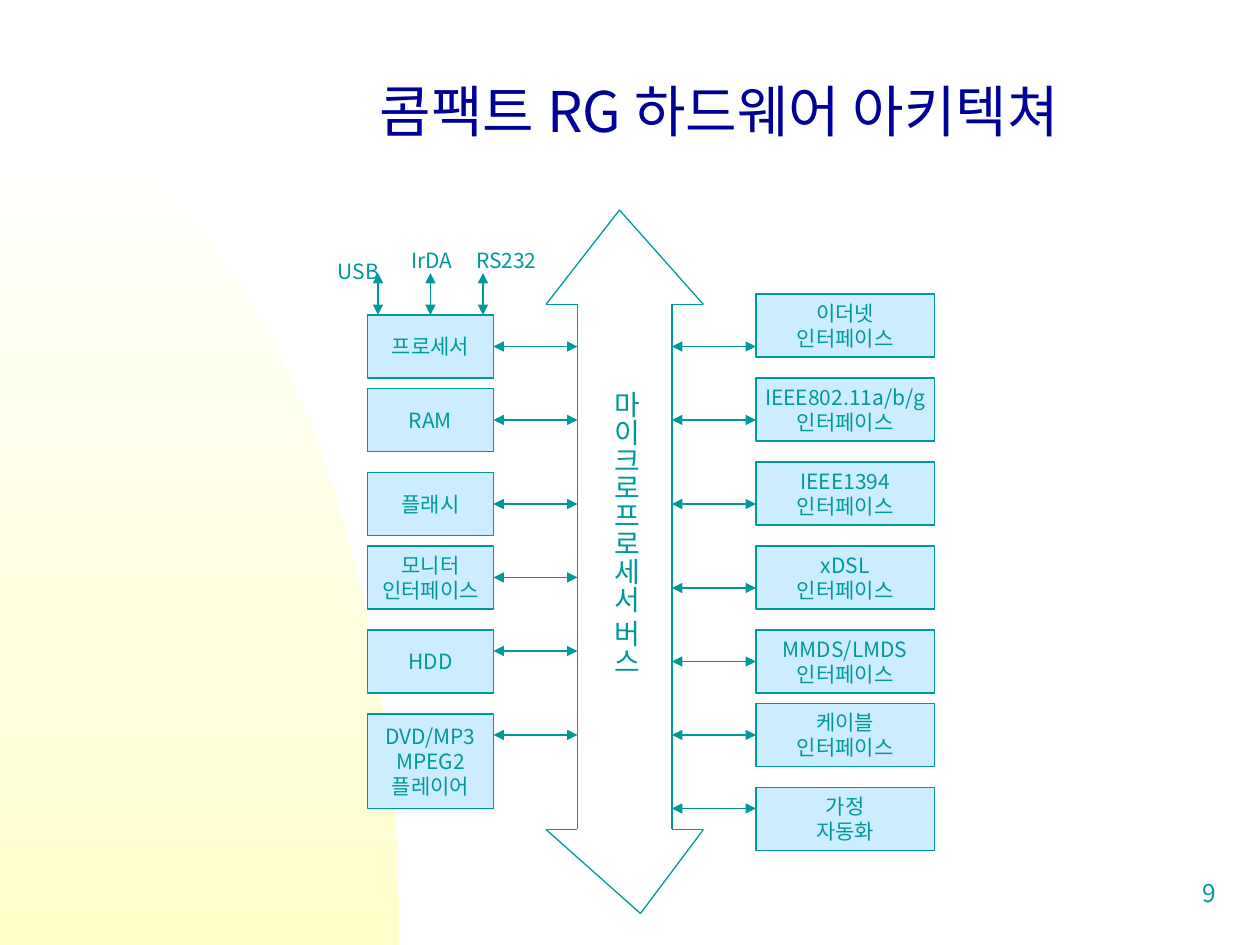
"""Build the slide on the hardware architecture of a compact residential gateway."""
from lxml import etree
from pptx import Presentation
from pptx.dml.color import RGBColor
from pptx.enum.shapes import MSO_CONNECTOR, MSO_SHAPE
from pptx.enum.text import MSO_ANCHOR, PP_ALIGN
from pptx.oxml.ns import qn
from pptx.util import Pt

STRAIGHT, RECTANGLE = MSO_CONNECTOR.STRAIGHT, MSO_SHAPE.RECTANGLE
TOP, MIDDLE = MSO_ANCHOR.TOP, MSO_ANCHOR.MIDDLE
LEFT, CENTER, RIGHT = PP_ALIGN.LEFT, PP_ALIGN.CENTER, PP_ALIGN.RIGHT

TEAL = RGBColor(0x00, 0x99, 0x99)
NAVY = RGBColor(0x00, 0x00, 0x99)
PALE_BLUE = RGBColor(0xCC, 0xEC, 0xFF)
PALE_YELLOW = RGBColor(0xFF, 0xFF, 0xCC)
WHITE = RGBColor(0xFF, 0xFF, 0xFF)
FONT = "Noto Sans CJK KR"

# text, top, height, arrow height
DEVICES = [
    ("프로세서", 180, 36, 198),
    ("RAM", 222, 36, 240),
    ("플래시", 270, 36, 288),
    ("모니터\n인터페이스", 312, 36, 330),
    ("HDD", 360, 36, 372),
    ("DVD/MP3\nMPEG2\n플레이어", 408, 54, 420),
]
INTERFACES = [
    ("이더넷\n인터페이스", 168, 36, 198),
    ("IEEE802.11a/b/g\n인터페이스", 216, 36, 240),
    ("IEEE1394\n인터페이스", 264, 36, 288),
    ("xDSL\n인터페이스", 312, 36, 336),
    ("MMDS/LMDS\n인터페이스", 360, 36, 378),
    ("케이블\n인터페이스", 402, 36, 420),
    ("가정\n자동화", 450, 36, 462),
]
# text, left, top, width, arrow position
PORTS = [("USB", 186, 144, 42, 216), ("IrDA", 228, 138, 42, 246), ("RS232", 265, 138, 52, 276)]
BUS_LEFT, BUS_RIGHT = 330, 384
BUS_OUTLINE = [
    (BUS_LEFT, 174), (312, 174), (354, 120), (402, 174), (BUS_RIGHT, 174),
    (BUS_RIGHT, 474), (402, 474), (366, 522), (312, 474), (BUS_LEFT, 474),
]
DEVICE_LEFT, DEVICE_WIDTH = 210, 72
INTERFACE_LEFT, INTERFACE_WIDTH = 432, 102
HILL = [(0, 66), (126, 66), (228, 279), (228, 540)]
HILL_STEPS = 60


def write(shape, text, size, color=TEAL, align=LEFT, anchor=TOP, wrap=True):
    frame = shape.text_frame
    frame.text = text
    frame.word_wrap = wrap
    frame.vertical_anchor = anchor
    for paragraph in frame.paragraphs:
        paragraph.alignment = align
        font = paragraph.font
        font.name, font.size, font.color.rgb = FONT, Pt(size), color
        defaults = paragraph._p.pPr.find(qn("a:defRPr"))
        etree.SubElement(defaults, qn("a:ea"), typeface=FONT)


def add_label(shapes, text, place, size, **style):
    label = shapes.add_textbox(*map(Pt, place))
    write(label, text, size, **style)
    return label


def add_box(shapes, text, *place):
    box = shapes.add_shape(RECTANGLE, *map(Pt, place))
    box.shadow.inherit = False
    box.fill.solid()
    box.fill.fore_color.rgb = PALE_BLUE
    box.line.color.rgb = TEAL
    box.line.width = Pt(0.75)
    write(box, text, 12, align=CENTER, anchor=MIDDLE, wrap=False)
    return box


def add_line(shapes, start, end, arrows=False):
    line = shapes.add_connector(STRAIGHT, *map(Pt, (*start, *end)))
    line.line.color.rgb = TEAL
    line.line.width = Pt(0.75)
    if arrows:
        outline = line.line._get_or_add_ln()
        for tip in ("a:headEnd", "a:tailEnd"):
            etree.SubElement(outline, qn(tip), type="triangle")
    etree.SubElement(line._element.spPr, qn("a:effectLst"))
    return line


def curve_point(t):
    weights = ((1 - t) ** 3, 3 * t * (1 - t) ** 2, 3 * t * t * (1 - t), t ** 3)
    return tuple(sum(w * p[axis] for w, p in zip(weights, HILL)) for axis in (0, 1))


def add_hill(shapes):
    curve = [curve_point(step / HILL_STEPS) for step in range(HILL_STEPS + 1)]
    builder = shapes.build_freeform(*curve[0], scale=Pt(1))
    builder.add_line_segments(curve[1:] + [(0, HILL[-1][1])], close=True)
    hill = builder.convert_to_shape()
    hill.shadow.inherit = False
    hill.line.fill.background()
    hill.fill.gradient()
    hill.fill.gradient_angle = 270
    for stop, color in zip(hill.fill.gradient_stops, (WHITE, PALE_YELLOW)):
        stop.color.rgb = color


def main():
    deck = Presentation()
    deck.slide_width, deck.slide_height = Pt(720), Pt(540)
    shapes = deck.slides.add_slide(deck.slide_layouts[6]).shapes

    add_hill(shapes)
    add_label(shapes, "9", (552, 492, 150, 36), 14, align=RIGHT, anchor=MIDDLE)
    for start, end in zip(BUS_OUTLINE, BUS_OUTLINE[1:]):
        add_line(shapes, start, end)
    add_line(shapes, BUS_OUTLINE[0], BUS_OUTLINE[-1])

    device_boxes = []
    for text, top, height, level in DEVICES:
        box = add_box(shapes, text, DEVICE_LEFT, top, DEVICE_WIDTH, height)
        device_boxes.append(box)
        arrow = add_line(shapes, (DEVICE_LEFT + DEVICE_WIDTH, level), (BUS_LEFT, level), True)
        if level == top + height / 2:
            arrow.begin_connect(box, 3)
    for text, top, height, level in INTERFACES:
        box = add_box(shapes, text, INTERFACE_LEFT, top, INTERFACE_WIDTH, height)
        arrow = add_line(shapes, (BUS_RIGHT, level), (INTERFACE_LEFT, level), True)
        if level == top + height / 2:
            arrow.end_connect(box, 1)

    bus_name = add_label(shapes, "마이크로프로세서 버스", (338.4, 216, 33, 252), 16, align=CENTER)
    bus_frame = bus_name.text_frame
    bus_frame._txBody.bodyPr.set("vert", "eaVert")
    bus_frame.margin_left = bus_frame.margin_right = Pt(3.6)
    bus_frame.margin_top = bus_frame.margin_bottom = Pt(7.2)

    for text, left, top, width, position in PORTS:
        arrow = add_line(shapes, (position, 156), (position, 180), True)
        if position == DEVICE_LEFT + DEVICE_WIDTH / 2:
            arrow.end_connect(device_boxes[0], 0)
        add_label(shapes, text, (left, top, width, 21.6), 12)

    add_label(shapes, "콤팩트 RG 하드웨어 아키텍쳐", (210, 18, 480, 90), 32, color=NAVY, anchor=MIDDLE)
    deck.save("out.pptx")


if __name__ == "__main__":
    main()
